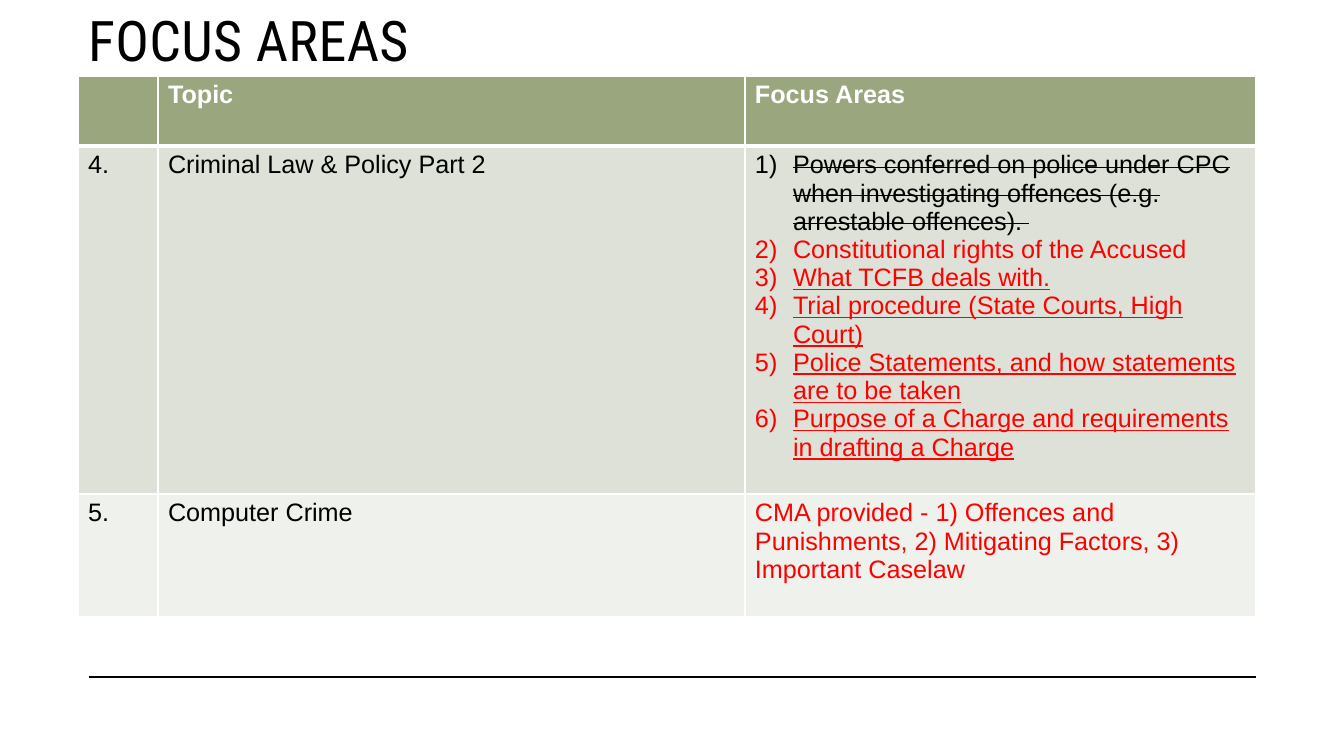
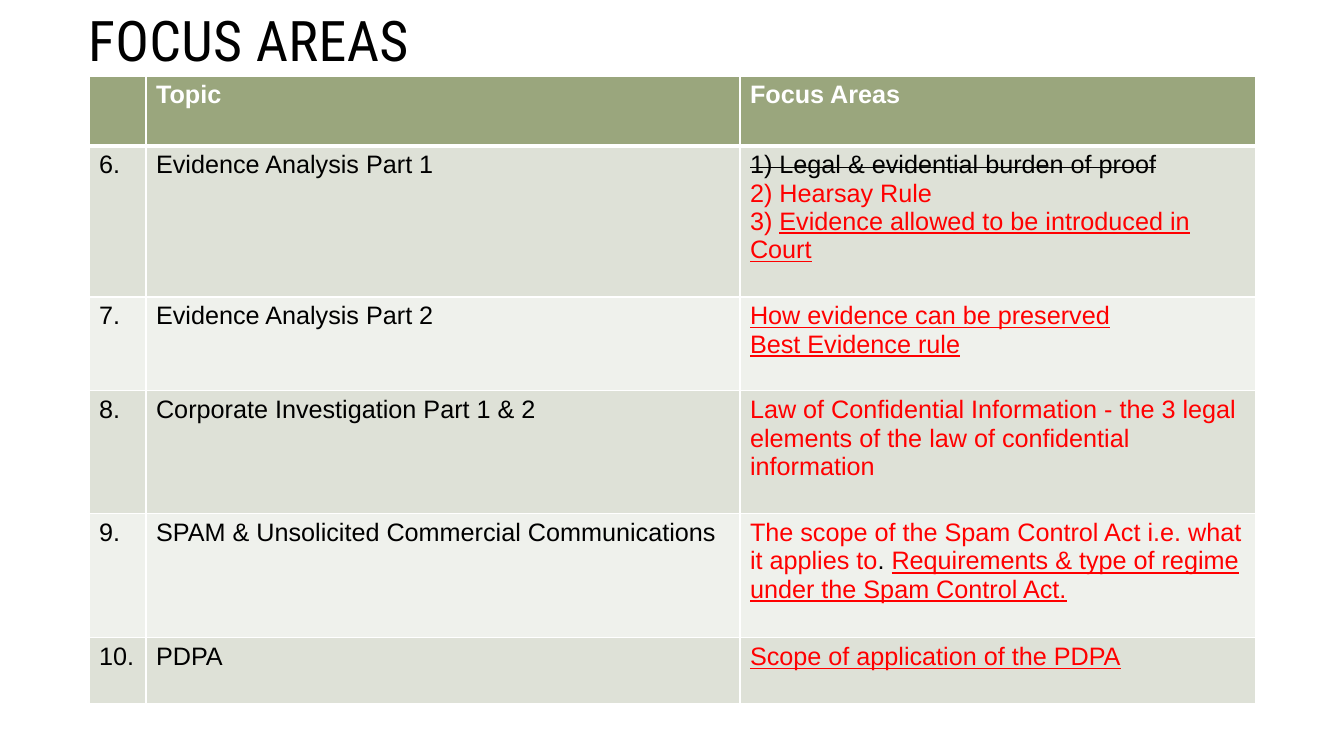
from dataclasses import dataclass

from lxml import etree
from pptx import Presentation
from pptx import util as u
from pptx.dml.color import RGBColor
from pptx.enum import shapes, text
from pptx.oxml.ns import qn


@dataclass(frozen=True)
class Theme:
    ink: str = "000000"
    alert: str = "FF0000"
    paper: str = "FFFFFF"
    header: str = "9AA67D"
    bands: tuple = ("DEE1D7", "EFF1EC")
    title_font: str = "Roboto Condensed"
    body_font: str = "Arial"
    title_size: int = 40
    body_size: int = 18
    title_spacing: int = 30
    thin: int = 1
    thick: int = 3


@dataclass(frozen=True)
class Mark:
    color: str
    underline: bool = False
    strike: bool = False


THEME = Theme()
PLAIN = Mark(THEME.ink)
STRUCK = Mark(THEME.ink, strike=True)
RED = Mark(THEME.alert)
KEY = Mark(THEME.alert, underline=True)
HEAD = Mark(THEME.paper)

PAGE_W, PAGE_H = 1344, 756
TITLE_BOX = (78, 0, 1178, 151)
RULE_LEFT, RULE_RIGHT = 89, 1256
RULES = ((80, 3.5), (677, 1))  # y position, weight
TABLE_TOP = 76
LIST_INDENT = 38


def px(length):
    return u.Emu(round(length * 914400 / 100.8))


def rgb(color):
    return RGBColor.from_string(color)


# Shared furniture: rules on the layout, title on each slide
def add_rules(page, layout):
    for y, weight in RULES:
        rule = page.shapes.add_connector(
            shapes.MSO_CONNECTOR.STRAIGHT, px(RULE_LEFT), px(y), px(RULE_RIGHT), px(y))
        rule.line.color.rgb = rgb(THEME.ink)
        rule.line.width = u.Pt(weight)
        etree.SubElement(rule.element.spPr, qn("a:effectLst"))
        layout.shapes.element.append(rule.element)


def set_title(page, box, words):
    title = page.shapes.title
    title.left, title.top, title.width, title.height = map(px, box)
    frame = title.text_frame
    frame.word_wrap = True
    frame.auto_size = text.MSO_AUTO_SIZE.NONE
    frame.vertical_anchor = text.MSO_ANCHOR.TOP
    para = frame.paragraphs[0]
    para.alignment = text.PP_ALIGN.LEFT
    para.font.name = THEME.title_font
    para.font.size = u.Pt(THEME.title_size)
    para.font.color.rgb = rgb(THEME.ink)
    span = para.add_run()
    span.text = words
    span._r.get_or_add_rPr().set("spc", str(THEME.title_spacing))


# Table cells
def set_borders(cell, top, bottom):
    props = cell._tc.get_or_add_tcPr()
    weights = {"lnL": THEME.thin, "lnR": THEME.thin, "lnT": top, "lnB": bottom}
    for place, (side, weight) in enumerate(weights.items()):
        line = etree.Element(qn(f"a:{side}"), w=str(u.Pt(weight)))
        fill = etree.SubElement(line, qn("a:solidFill"))
        etree.SubElement(fill, qn("a:srgbClr"), val=THEME.paper)
        props.insert(place, line)


def number_paragraph(para):
    props = para._p.get_or_add_pPr()
    props.set("marL", str(px(LIST_INDENT)))
    props.set("indent", str(-px(LIST_INDENT)))
    font = etree.Element(qn("a:buFont"), typeface="+mj-lt")
    number = etree.Element(qn("a:buAutoNum"), type="arabicParenR")
    props.insert(0, font)
    props.insert(1, number)


def write_cell(cell, lines, bold=False, numbered=False):
    frame = cell.text_frame
    for index, spans in enumerate(lines):
        para = frame.add_paragraph() if index else frame.paragraphs[0]
        para.font.name = THEME.body_font
        para.font.size = u.Pt(THEME.body_size)
        para.font.bold = bold
        if numbered:
            number_paragraph(para)
        for words, mark in spans:
            span = para.add_run()
            span.text = words
            span.font.color.rgb = rgb(mark.color)
            if mark.underline:
                span.font.underline = True
            if mark.strike:
                span._r.get_or_add_rPr().set("strike", "sngStrike")


def add_topic_table(page, left, top, widths, heights, topics):
    table = page.shapes.add_table(
        len(heights), len(widths), px(left), px(top),
        px(sum(widths)), px(sum(heights))).table
    table.horz_banding = False
    for column, width in zip(table.columns, widths):
        column.width = px(width)

    # Fills and borders
    for index, (row, height) in enumerate(zip(table.rows, heights)):
        row.height = px(height)
        color = THEME.bands[(index - 1) % 2] if index else THEME.header
        for cell in row.cells:
            cell.fill.solid()
            cell.fill.fore_color.rgb = rgb(color)
            set_borders(cell, THEME.thick if index == 1 else THEME.thin,
                        THEME.thin if index else THEME.thick)

    # Header and topic rows
    for column, words in enumerate(("Topic", "Focus Areas"), 1):
        write_cell(table.cell(0, column), [[(words, HEAD)]], bold=True)
    for row, (number, topic, lines, numbered) in enumerate(topics, 1):
        write_cell(table.cell(row, 0), [[(number, PLAIN)]])
        write_cell(table.cell(row, 1), [[(topic, PLAIN)]])
        write_cell(table.cell(row, 2), lines, numbered=numbered)


def add_focus_slide(deck, layout, left, widths, heights, topics):
    page = deck.slides.add_slide(layout)
    set_title(page, TITLE_BOX, "FOCUS AREAS")
    add_topic_table(page, left, TABLE_TOP, widths, heights, topics)
    return page


# Number, topic, lines of (words, mark), automatic numbering
CRIME_TOPICS = [
    ("4.", "Criminal Law & Policy Part 2", [
        [("Powers conferred on police under CPC when investigating offences "
          "(e.g. arrestable offences). ", STRUCK)],
        [("Constitutional rights of the Accused", RED)],
        [("What TCFB deals with.", KEY)],
        [("Trial procedure (State Courts, High Court)", KEY)],
        [("Police Statements, and how statements are to be taken", KEY)],
        [("Purpose of a Charge and requirements in drafting a Charge", KEY)],
    ], True),
    ("5.", "Computer Crime", [
        [("CMA provided - 1) Offences and Punishments, 2) Mitigating Factors, "
          "3) Important Caselaw", RED)],
    ], False),
]
EVIDENCE_TOPICS = [
    ("6.", "Evidence Analysis Part 1", [
        [("1) Legal & evidential burden of proof", STRUCK)],
        [("2) Hearsay Rule", RED)],
        [("3) ", RED), ("Evidence allowed to be introduced in Court", KEY)],
    ], False),
    ("7.", "Evidence Analysis Part 2", [
        [("How evidence can be preserved", KEY)],
        [("Best Evidence rule", KEY)],
    ], False),
    ("8.", "Corporate Investigation Part 1 & 2", [
        [("Law of Confidential Information - the 3 legal elements of the law "
          "of confidential information ", RED)],
    ], False),
    ("9.", "SPAM & Unsolicited Commercial Communications", [
        [("The scope of the Spam Control Act i.e. what it applies to", RED),
         (". ", PLAIN),
         ("Requirements & type of regime under the Spam Control Act.", KEY)],
    ], False),
    ("10.", "PDPA", [[("Scope of application of the PDPA", KEY)]], False),
]

deck = Presentation()
deck.slide_width, deck.slide_height = px(PAGE_W), px(PAGE_H)
title_only = deck.slide_layouts[5]

first = add_focus_slide(deck, title_only, 78, (80, 587, 511),
                        (70, 348, 123), CRIME_TOPICS)
add_rules(first, title_only)
add_focus_slide(deck, title_only, 89, (57, 594, 516),
                (70, 151, 94, 123, 124, 66), EVIDENCE_TOPICS)

deck.save("out.pptx")
